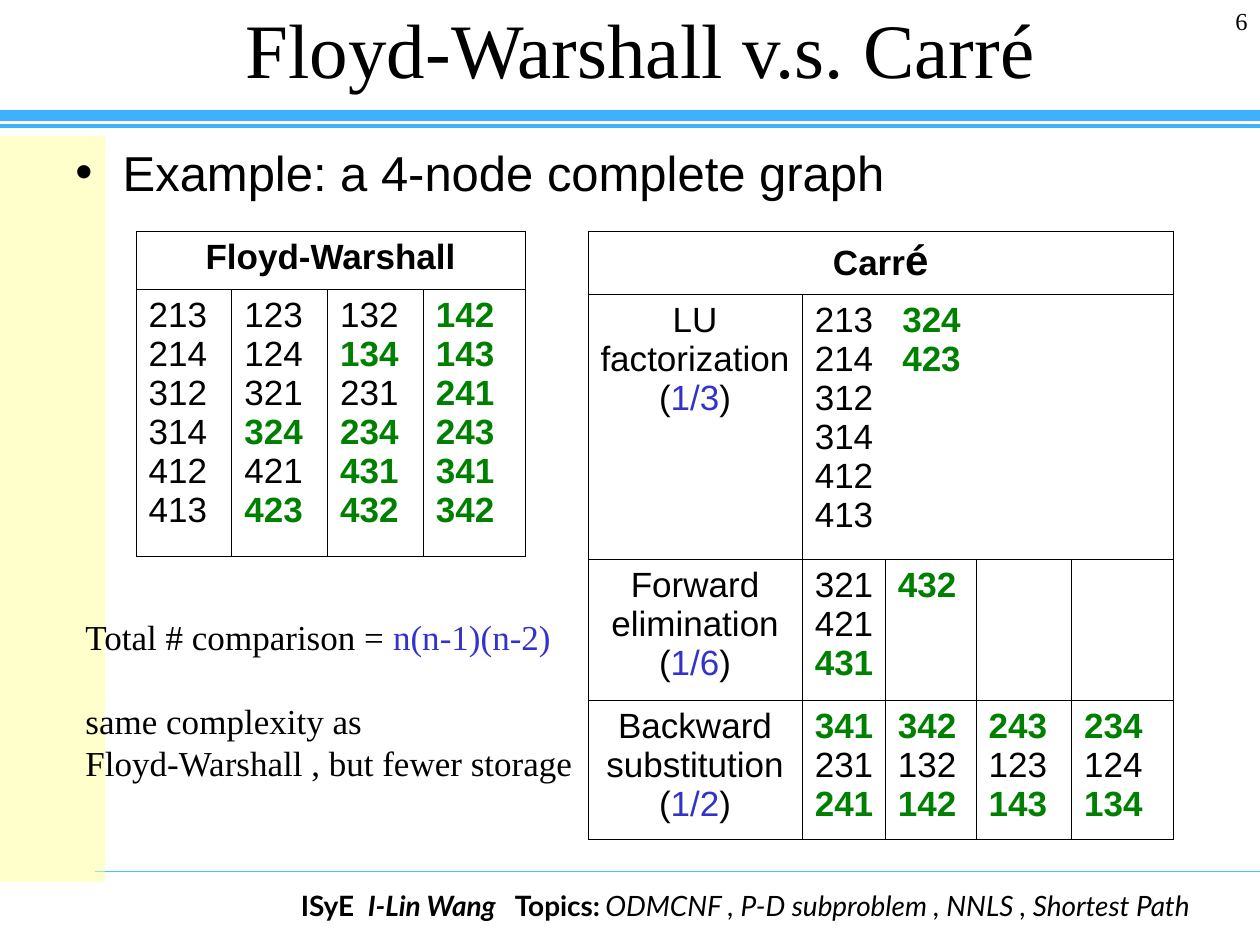
"""Build the slide that compares two shortest path methods."""
from dataclasses import dataclass
from typing import NamedTuple

from lxml.etree import SubElement
from pptx import Presentation
from pptx.dml.color import RGBColor
from pptx.enum.shapes import MSO_CONNECTOR, MSO_SHAPE
from pptx.enum.text import MSO_ANCHOR, MSO_AUTO_SIZE, PP_ALIGN
from pptx.oxml.ns import qn
from pptx.util import Pt


@dataclass(frozen=True)
class Theme:
    """Colours, fonts and type sizes."""
    ink: str = "000000"
    mark: str = "008000"
    note: str = "3333CC"
    bar: str = "3DB0FF"
    rule: str = "33CCFF"
    band: str = "FFFF99"
    sans: str = "Arial"
    serif: str = "Times New Roman"
    foot: str = "Lato"
    title: float = 44
    lead: float = 28
    large: float = 24
    text: float = 20
    small: float = 16
    page: float = 14
    gap: float = 12


T = Theme()


class Run(NamedTuple):
    """A piece of text in one style."""
    text: str
    size: float = T.text
    font: str = T.sans
    color: str = T.ink
    bold: bool = False
    slant: bool = False


class Box(NamedTuple):
    """A place on the slide in points."""
    left: float
    top: float
    width: float
    height: float

    def points(self) -> list:
        """Give the place as lengths."""
        return [Pt(side) for side in self]


class Line(NamedTuple):
    """A level line in points."""
    start: float
    top: float
    color: str
    weight: float


class Cell(NamedTuple):
    """A table cell: its paragraphs, alignment and column span."""
    paras: list
    align: PP_ALIGN = PP_ALIGN.LEFT
    span: int = 1


class Grid(NamedTuple):
    """A table: place, columns, rows and cells."""
    left: float
    top: float
    cols: list
    rows: list
    cells: list


MARKED = set("142 143 134 241 243 324 234 341 431 423 432 342".split())
LINES = [Line(0, 72, T.bar, 2), Line(0, 66, T.bar, 6), Line(54, 498, T.rule, 0.75)]


def write(para, runs: list, align: PP_ALIGN = PP_ALIGN.LEFT) -> None:
    """Fill a paragraph run by run, with line breaks at newlines."""
    para.alignment = align
    for item in runs:
        for place, part in enumerate(item.text.split("\n")):
            if place:
                para.add_line_break()
            run = para.add_run()
            run.text = part
            font = run.font
            font.size, font.name = Pt(item.size), item.font
            font.bold, font.italic = item.bold, item.slant
            font.color.rgb = RGBColor.from_string(item.color)


def set_tabs(para, stops: list) -> None:
    """Add left tab stops to a paragraph."""
    tabs = SubElement(para._p.get_or_add_pPr(), qn("a:tabLst"))
    for stop in stops:
        SubElement(tabs, qn("a:tab"), pos=str(Pt(stop)), algn="l")


def add_text(slide, box: Box, wrap: bool = True):
    """Add a text box and return its frame."""
    frame = slide.shapes.add_textbox(*box.points()).text_frame
    frame.word_wrap = wrap
    return frame


def add_line(slide, line: Line) -> None:
    """Draw a line to the right edge of the slide."""
    link = slide.shapes.add_connector(
        MSO_CONNECTOR.STRAIGHT, Pt(line.start), Pt(line.top), Pt(720), Pt(line.top))
    link.line.color.rgb = RGBColor.from_string(line.color)
    link.line.width = Pt(line.weight)
    SubElement(link._element.spPr, qn("a:effectLst"))


def add_band(slide) -> None:
    """Draw the pale band on the left."""
    band = slide.shapes.add_shape(MSO_SHAPE.RECTANGLE, *Box(0, 77.76, 60, 426.24).points())
    band.shadow.inherit = False
    band.line.fill.background()
    band.fill.solid()
    band.fill.fore_color.rgb = RGBColor.from_string(T.band)
    tint = band._element.spPr.find(".//" + qn("a:srgbClr"))
    SubElement(tint, qn("a:alpha"), val="50000")


def frame_cell(cell) -> None:
    """Give a cell thin borders, narrow right margin and no fill."""
    props = cell._tc.get_or_add_tcPr()
    for side in ("lnL", "lnR", "lnT", "lnB"):
        edge = SubElement(props, qn("a:" + side), w=str(Pt(0.45)))
        fill = SubElement(edge, qn("a:solidFill"))
        SubElement(fill, qn("a:srgbClr"), val=T.ink)
    cell.fill.background()
    cell.margin_right = Pt(4)


def add_grid(slide, grid: Grid) -> None:
    """Draw a table with its merged cells."""
    box = Box(grid.left, grid.top, sum(grid.cols), sum(grid.rows))
    table = slide.shapes.add_table(len(grid.rows), len(grid.cols), *box.points()).table
    table.first_row = table.horz_banding = False
    for col, width in zip(table.columns, grid.cols):
        col.width = Pt(width)
    for row, height in zip(table.rows, grid.rows):
        row.height = Pt(height)
    for cell in table.iter_cells():
        frame_cell(cell)
    for down, row in enumerate(grid.cells):
        across = 0
        for item in row:
            cell = table.cell(down, across)
            if item.span > 1:
                cell.merge(table.cell(down, across + item.span - 1))
            if item.align == PP_ALIGN.CENTER:
                cell.margin_left = cell.margin_right
            for place, runs in enumerate(item.paras):
                frame = cell.text_frame
                para = frame.add_paragraph() if place else frame.paragraphs[0]
                if any("\t" in run.text for run in runs):
                    set_tabs(para, [50])
                write(para, runs, item.align)
            across += item.span


def code(text: str) -> Run:
    """Style a node triple."""
    hit = text.strip() in MARKED
    return Run(text, color=T.mark if hit else T.ink, bold=hit)


def codes(text: str, span: int = 1) -> Cell:
    """Make a cell of triples, where a slash joins two on a line."""
    paras = []
    for word in text.split():
        first, *rest = word.split("/")
        paras.append([code(first)] + [code("\t" + more) for more in rest])
    return Cell(paras, span=span)


def step(name: str, share: str) -> Cell:
    """Make a cell that names a step and its share."""
    return Cell([[Run(name + "\n("), Run(share, color=T.note), Run(")")]], PP_ALIGN.CENTER)


def head(runs: list, span: int) -> Cell:
    """Make a header cell."""
    return Cell([runs], PP_ALIGN.CENTER, span)


FLOYD = Grid(77.76, 132, [54.72, 54.72, 54.72, 58.2], [33.5, 152.5], [
    [head([Run("Floyd-Warshall", bold=True)], 4)],
    [codes("213 214 312 314 412 413"), codes("123 124 321 324 421 423"),
     codes("132 134 231 234 431 432"), codes("142 143 241 243 341 342")]])
CARRE = Grid(336, 132, [122.4, 47.5, 51.9, 54.6, 58.2], [36, 151.5, 80.6, 79.4], [
    [head([Run("Carr", bold=True), Run("é", T.large, bold=True)], 5)],
    [step("LU\nfactorization", "1/3"), codes("213/324 214/423 312 314 412 413", 4)],
    [step("Forward\nelimination", "1/6"), codes("321 421 431"), codes("432")],
    [step("Backward\nsubstitution", "1/2"), codes("341 231 241"), codes("342 132 142"),
     codes("243 123 143"), codes("234 124 134")]])


def add_title(slide) -> None:
    """Place and fill the title."""
    title = slide.shapes.title
    title.left, title.top, title.width, title.height = Box(84, 0, 564, 54).points()
    frame = title.text_frame
    frame.auto_size, frame.vertical_anchor = MSO_AUTO_SIZE.NONE, MSO_ANCHOR.MIDDLE
    write(frame.paragraphs[0], [Run("Floyd-Warshall v.s. Carré", T.title, T.serif)],
          PP_ALIGN.CENTER)


def add_lead(slide) -> None:
    """Add the bullet line."""
    para = add_text(slide, Box(36, 77.76, 660, 426.24)).paragraphs[0]
    props = para._p.get_or_add_pPr()
    props.set("marL", str(Pt(27)))
    props.set("indent", str(Pt(-27)))
    SubElement(props, qn("a:buFont"), typeface=T.sans)
    SubElement(props, qn("a:buChar"), char="•")
    write(para, [Run("Example: a 4-node complete graph", T.lead)])


def add_note(slide) -> None:
    """Add the remark on cost."""
    frame = add_text(slide, Box(41.76, 348, 294.5, 103.7), False)
    total, same = frame.paragraphs[0], frame.add_paragraph()
    write(total, [Run("Total # comparison = ", font=T.serif),
                  Run("n(n-1)(n-2)", font=T.serif, color=T.note)])
    write(same, [Run("same complexity as\nFloyd-Warshall , but fewer storage", font=T.serif)])
    total.line_spacing = same.line_spacing = same.space_before = Pt(24)


def add_foot(slide) -> None:
    """Add the footer and page number."""
    frame = add_text(slide, Box(131.76, 504, 588.24, 36))
    frame.margin_left = Pt(40.2)
    para = frame.paragraphs[0]
    set_tabs(para, [38.3, 122.3])
    write(para, [
        Run("ISyE", T.small, T.foot, bold=True),
        Run("\tI-Lin Wang", T.small, T.foot, bold=True, slant=True),
        Run("\tTopics:", T.small, T.foot, bold=True),
        Run(" ", T.gap, T.foot, bold=True),
        Run("ODMCNF , P-D subproblem , NNLS , Shortest Path", T.small, T.foot, slant=True)])
    page = add_text(slide, Box(660, 0, 60, 36))
    write(page.paragraphs[0], [Run("6", T.page, T.serif)], PP_ALIGN.RIGHT)


def main() -> None:
    """Build and save the slide."""
    deck = Presentation()
    deck.slide_width, deck.slide_height = Pt(720), Pt(540)
    slide = deck.slides.add_slide(deck.slide_layouts[5])
    for line in LINES:
        add_line(slide, line)
    add_band(slide)
    add_title(slide)
    add_lead(slide)
    for grid in (FLOYD, CARRE):
        add_grid(slide, grid)
    add_note(slide)
    add_foot(slide)
    deck.save("out.pptx")


if __name__ == "__main__":
    main()
